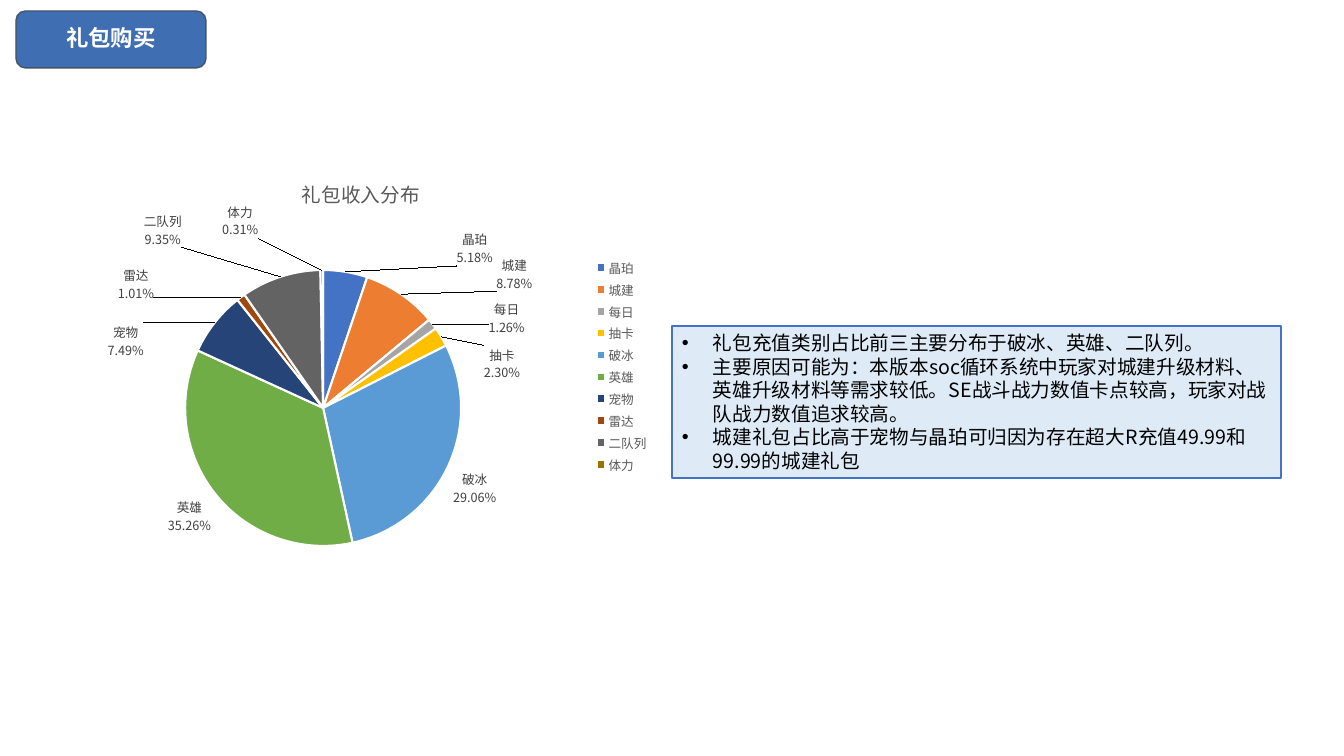
import math

import lxml.etree
import pptx
import pptx.chart.data
import pptx.dml.color
import pptx.enum.chart
import pptx.enum.shapes
import pptx.enum.text
import pptx.oxml
import pptx.oxml.ns
import pptx.util

PIXEL = 914400 / 100.8
FONT = "Noto Sans CJK SC"
COLORS = {
    "badge": "406EB2", "badge_line": "44546A", "white": "FFFFFF", "black": "000000",
    "note": "DEEBF7", "note_line": "4472C4", "gray": "595959", "label": "404040",
}
CHART_BOX = (63, 160, 596, 412)
PIE_CENTER, PIE_RADIUS = (323, 408), 138
LABEL_HALF, LABEL_GAP = (22, 18), 4

# Category, share in percent, slice colour, centre of a label that was moved
SLICES = [
    ("晶珀", 5.18, "4472C4", (478, 250)),
    ("城建", 8.78, "ED7D31", (517, 275)),
    ("每日", 1.26, "A5A5A5", (509, 319)),
    ("抽卡", 2.30, "FFC000", (504, 364)),
    ("破冰", 29.06, "5B9BD5", None),
    ("英雄", 35.26, "70AD47", None),
    ("宠物", 7.49, "264478", (123, 342)),
    ("雷达", 1.01, "9E480E", (133, 285)),
    ("二队列", 9.35, "636363", (160, 231)),
    ("体力", 0.31, "997300", (240, 222)),
]
NOTES = [
    "礼包充值类别占比前三主要分布于破冰、英雄、二队列。",
    "主要原因可能为：本版本soc循环系统中玩家对城建升级材料、英雄升级材料等需求较低。"
    "SE战斗战力数值卡点较高，玩家对战队战力数值追求较高。",
    "城建礼包占比高于宠物与晶珀可归因为存在超大R充值49.99和99.99的城建礼包",
]


def style_font(font, size, color, bold=False):
    """Set typeface, size, weight and colour of a font."""
    for name, value in {"name": FONT, "size": pptx.util.Pt(size), "bold": bold}.items():
        setattr(font, name, value)
    font.color.rgb = pptx.dml.color.RGBColor.from_string(COLORS[color])


def add_box(slide, kind, box, fill, line):
    """Add a filled, outlined preset shape without shadow."""
    shape = slide.shapes.add_shape(kind, *[round(value * PIXEL) for value in box])
    shape.shadow.inherit = False
    shape.fill.solid()
    shape.fill.fore_color.rgb = pptx.dml.color.RGBColor.from_string(COLORS[fill])
    shape.line.color.rgb = pptx.dml.color.RGBColor.from_string(COLORS[line])
    shape.line.width = pptx.util.Pt(1)
    return shape


presentation = pptx.Presentation()
presentation.slide_width = round(1344 * PIXEL)
presentation.slide_height = round(756 * PIXEL)
slide = presentation.slides.add_slide(presentation.slide_layouts[5])

# Title on its badge
badge_box = (16, 11, 190, 57)
badge = add_box(slide, pptx.enum.shapes.MSO_SHAPE.ROUNDED_RECTANGLE, badge_box,
                "badge", "badge_line")
title = slide.shapes.title
title._element.addprevious(badge._element)
for name, value in zip(("left", "top", "width", "height"), badge_box):
    setattr(title, name, round(value * PIXEL))
title.text_frame.text = "礼包购买"
title.text_frame.vertical_anchor = pptx.enum.text.MSO_ANCHOR.MIDDLE
paragraph = title.text_frame.paragraphs[0]
paragraph.alignment = pptx.enum.text.PP_ALIGN.CENTER
paragraph.line_spacing = 0.9

# Notes
note = add_box(slide, pptx.enum.shapes.MSO_SHAPE.RECTANGLE, (672, 326, 609, 152),
               "note", "note_line")
note.text_frame.word_wrap = True
note.text_frame.vertical_anchor = pptx.enum.text.MSO_ANCHOR.TOP
note.text_frame.text = "\n".join(NOTES)
for paragraph in note.text_frame.paragraphs:
    paragraph.alignment = pptx.enum.text.PP_ALIGN.LEFT
    properties = paragraph._p.get_or_add_pPr()
    indent = round(31 * PIXEL)
    properties.set("marL", str(indent))
    properties.set("indent", str(-indent))
    for tag, key, value in (("a:buFont", "typeface", "Arial"), ("a:buChar", "char", "•")):
        lxml.etree.SubElement(properties, pptx.oxml.ns.qn(tag)).set(key, value)

for shape, size, color, bold in ((title, 16, "white", True), (note, 14, "black", False)):
    for paragraph in shape.text_frame.paragraphs:
        for run in paragraph.runs:
            style_font(run.font, size, color, bold)
            east_asian = lxml.etree.SubElement(run.font._element, pptx.oxml.ns.qn("a:ea"))
            east_asian.set("typeface", FONT)

# Pie chart
data = pptx.chart.data.CategoryChartData()
data.categories = [name for name, *_ in SLICES]
data.add_series("Series 1", [share for _, share, *_ in SLICES])
chart = slide.shapes.add_chart(pptx.enum.chart.XL_CHART_TYPE.PIE,
                               *[round(value * PIXEL) for value in CHART_BOX], data).chart
style_font(chart.font, 10, "black")
chart.has_title = True
chart.chart_title.include_in_layout = False
chart.chart_title.text_frame.text = "礼包收入分布"
style_font(chart.chart_title.text_frame.paragraphs[0].runs[0].font, 14, "gray")
chart.has_legend = True
chart.legend.position = pptx.enum.chart.XL_LEGEND_POSITION.RIGHT
chart.legend.include_in_layout = False
style_font(chart.legend.font, 9, "gray")

plot = chart.plots[0]
plot.vary_by_categories = True
labels = plot.series[0].data_labels
label_format = {
    "show_percentage": True, "show_category_name": True, "show_value": False,
    "number_format": "0.00%", "number_format_is_linked": False,
    "position": pptx.enum.chart.XL_LABEL_POSITION.OUTSIDE_END,
}
for name, value in label_format.items():
    setattr(labels, name, value)
style_font(labels.font, 9, "label")
separator = pptx.oxml.parse_xml(
    f'<c:separator {pptx.oxml.ns.nsdecls("c")}>\n</c:separator>')
labels._element.find(pptx.oxml.ns.qn("c:showBubbleSize")).addnext(separator)
labels._element.find(pptx.oxml.ns.qn("c:showLeaderLines")).set("val", "1")

layout_xml = ('<c:layout {}><c:manualLayout>{}<c:x val="{:.3f}"/><c:y val="{:.3f}"/>{}'
              '</c:manualLayout></c:layout>')
namespace = pptx.oxml.ns.nsdecls("c")
first_copied = labels._element.find(pptx.oxml.ns.qn("c:numFmt"))
total = 0
for index, (name, share, color, target) in enumerate(SLICES):
    point_format = plot.series[0].points[index].format
    point_format.fill.solid()
    point_format.fill.fore_color.rgb = pptx.dml.color.RGBColor.from_string(color)
    point_format.line.color.rgb = pptx.dml.color.RGBColor.from_string(COLORS["white"])
    point_format.line.width = pptx.util.Pt(1.5)
    angle = math.radians((total + share / 2) * 3.6)
    total += share
    if target is None:
        continue
    # A label's offset is counted from its usual place just outside the rim
    shifts = []
    for axis, direction in enumerate((math.sin(angle), -math.cos(angle))):
        side = 0 if abs(direction) < 0.087 else math.copysign(1, direction)
        usual = (PIE_CENTER[axis] + (PIE_RADIUS + LABEL_GAP) * direction
                 + side * LABEL_HALF[axis])
        shifts.append((target[axis] - usual) / CHART_BOX[2 + axis])
    label = pptx.oxml.parse_xml(f'<c:dLbl {namespace}><c:idx val="{index}"/></c:dLbl>')
    label.append(pptx.oxml.parse_xml(layout_xml.format(namespace, "", *shifts, "")))
    for tag, value in (("dLblPos", "outEnd"), ("showLegendKey", 0), ("showVal", 0),
                       ("showCatName", 1), ("showSerName", 0), ("showPercent", 1),
                       ("showBubbleSize", 0)):
        lxml.etree.SubElement(label, pptx.oxml.ns.qn(f"c:{tag}")).set("val", str(value))
    lxml.etree.SubElement(label, pptx.oxml.ns.qn("c:separator")).text = "\n"
    first_copied.addprevious(label)

# Plot area inside the chart
plot_area = chart._chartSpace.chart.plotArea
for old_layout in plot_area.findall(pptx.oxml.ns.qn("c:layout")):
    plot_area.remove(old_layout)
corner = [(PIE_CENTER[axis] - PIE_RADIUS - CHART_BOX[axis]) / CHART_BOX[2 + axis]
          for axis in range(2)]
width, height = (2 * PIE_RADIUS / length for length in CHART_BOX[2:])
modes = '<c:layoutTarget val="inner"/><c:xMode val="edge"/><c:yMode val="edge"/>'
size = f'<c:w val="{width:.3f}"/><c:h val="{height:.3f}"/>'
plot_area.insert(0, pptx.oxml.parse_xml(layout_xml.format(namespace, modes, *corner, size)))

presentation.save("out.pptx")
